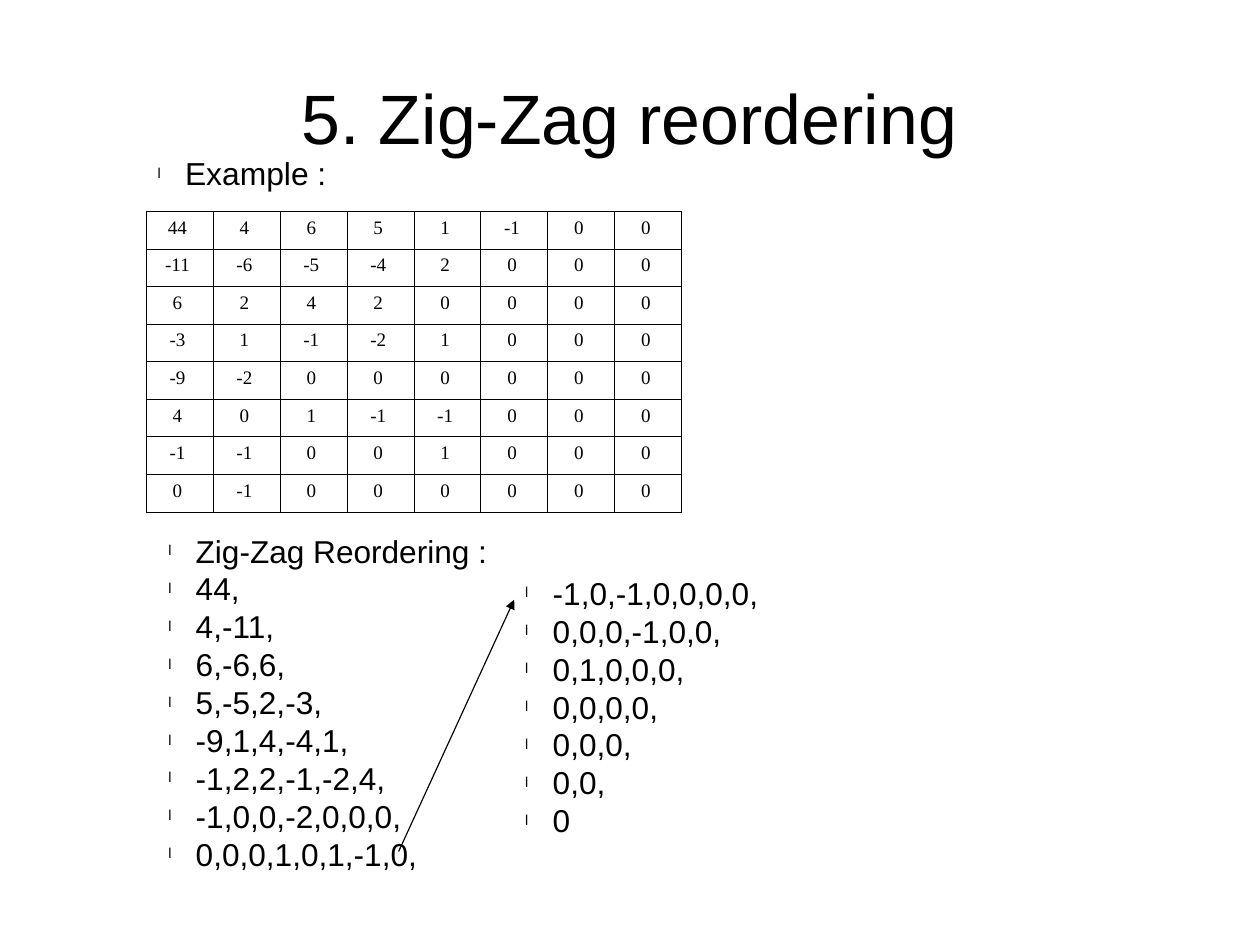
"""Build the zig-zag reordering slide."""
from lxml.etree import SubElement
from pptx import Presentation
from pptx.dml.color import RGBColor
from pptx.enum.shapes import MSO_CONNECTOR
from pptx.enum.text import MSO_ANCHOR, PP_ALIGN
from pptx.oxml.ns import qn
from pptx.util import Pt

BLACK = RGBColor(0, 0, 0)

COEFFICIENTS = [
    [44, 4, 6, 5, 1, -1, 0, 0],
    [-11, -6, -5, -4, 2, 0, 0, 0],
    [6, 2, 4, 2, 0, 0, 0, 0],
    [-3, 1, -1, -2, 1, 0, 0, 0],
    [-9, -2, 0, 0, 0, 0, 0, 0],
    [4, 0, 1, -1, -1, 0, 0, 0],
    [-1, -1, 0, 0, 1, 0, 0, 0],
    [0, -1, 0, 0, 0, 0, 0, 0],
]
FIRST_DIAGONALS = [
    "Zig-Zag Reordering :", "44,", "4,-11,", "6,-6,6,", "5,-5,2,-3,",
    "-9,1,4,-4,1,", "-1,2,2,-1,-2,4,", "-1,0,0,-2,0,0,0,", "0,0,0,1,0,1,-1,0,",
]
LAST_DIAGONALS = [
    "-1,0,-1,0,0,0,0,", "0,0,0,-1,0,0,", "0,1,0,0,0,", "0,0,0,0,", "0,0,0,", "0,0,", "0",
]


class SlideBuilder:
    """Hold the style and the current slide."""

    heading_font = "Arial"
    table_font = "Times New Roman"
    line_width = Pt(0.75)
    bullet_indent = Pt(17.3)
    line_pitch = Pt(23.9)

    def __init__(self, slide):
        self.slide = slide

    def add_run(self, paragraph, text, size, font_name):
        run = paragraph.add_run()
        run.text = text
        run.font.size = Pt(size)
        run.font.name = font_name
        run.font.color.rgb = BLACK

    def set_title(self, text, left, top, width, height):
        title = self.slide.shapes.title
        title.left, title.top = Pt(left), Pt(top)
        title.width, title.height = Pt(width), Pt(height)
        frame = title.text_frame
        frame.margin_left = frame.margin_right = frame.margin_top = frame.margin_bottom = 0
        frame.vertical_anchor = MSO_ANCHOR.MIDDLE
        frame.word_wrap = True
        paragraph = frame.paragraphs[0]
        paragraph.alignment = PP_ALIGN.CENTER
        self.add_run(paragraph, text, 44, self.heading_font)

    def add_bullets(self, lines, left, top, width, height, size=19.9):
        box = self.slide.shapes.add_textbox(Pt(left), Pt(top), Pt(width), Pt(height))
        frame = box.text_frame
        frame.word_wrap = True
        frame.margin_right = 0
        for index, line in enumerate(lines):
            paragraph = frame.add_paragraph() if index else frame.paragraphs[0]
            paragraph.line_spacing = self.line_pitch
            self.add_run(paragraph, line, size, self.heading_font)
            properties = paragraph._p.get_or_add_pPr()
            properties.set("marL", str(self.bullet_indent))
            properties.set("indent", str(-self.bullet_indent))
            SubElement(properties, qn("a:buSzPct"), val="45000")
            SubElement(properties, qn("a:buFont"), typeface=self.heading_font)
            SubElement(properties, qn("a:buChar"), char="l")

    def add_grid(self, values, left, top, width, height):
        row_count, column_count = len(values), len(values[0])
        table = self.slide.shapes.add_table(
            row_count, column_count, Pt(left), Pt(top), Pt(width), Pt(height)
        ).table
        table.first_row = table.horz_banding = False
        for column in table.columns:
            column.width = Pt(width / column_count)
        for row, row_values in zip(table.rows, values):
            row.height = Pt(height / row_count)
            for cell, value in zip(row.cells, row_values):
                self.format_cell(cell, f"{value} ")

    def format_cell(self, cell, text):
        paragraph = cell.text_frame.paragraphs[0]
        paragraph.alignment = PP_ALIGN.CENTER
        self.add_run(paragraph, text, 12, self.table_font)
        properties = cell._tc.get_or_add_tcPr()
        for side in ("a:lnL", "a:lnR", "a:lnT", "a:lnB"):
            border = SubElement(properties, qn(side), w=str(self.line_width))
            fill = SubElement(border, qn("a:solidFill"))
            SubElement(fill, qn("a:srgbClr"), val=str(BLACK))
        cell.fill.background()

    def add_arrow(self, start_x, start_y, end_x, end_y):
        arrow = self.slide.shapes.add_connector(
            MSO_CONNECTOR.STRAIGHT, Pt(start_x), Pt(start_y), Pt(end_x), Pt(end_y)
        )
        arrow.line.color.rgb = BLACK
        arrow.line.width = self.line_width
        SubElement(arrow.line._get_or_add_ln(), qn("a:tailEnd"), type="triangle")
        SubElement(arrow._element.spPr, qn("a:effectLst"))


def main():
    presentation = Presentation()
    presentation.slide_width, presentation.slide_height = Pt(793.7), Pt(595.28)
    slide = presentation.slides.add_slide(presentation.slide_layouts[5])
    builder = SlideBuilder(slide)
    builder.set_title("5. Zig-Zag reordering", 39.6, 23.8, 714.2, 99.4)
    builder.add_grid(COEFFICIENTS, 92.2, 133.2, 337.4, 189.4)
    builder.add_bullets(["Example :"], 92.2, 93.6, 120.2, 34.6, size=20)
    builder.add_bullets(FIRST_DIAGONALS, 98.9, 331.2, 214.6, 222.5)
    builder.add_bullets(LAST_DIAGONALS, 323.8, 357.8, 185, 211)
    builder.add_arrow(251.1, 536.4, 323.9, 377.8)
    presentation.save("out.pptx")


if __name__ == "__main__":
    main()
